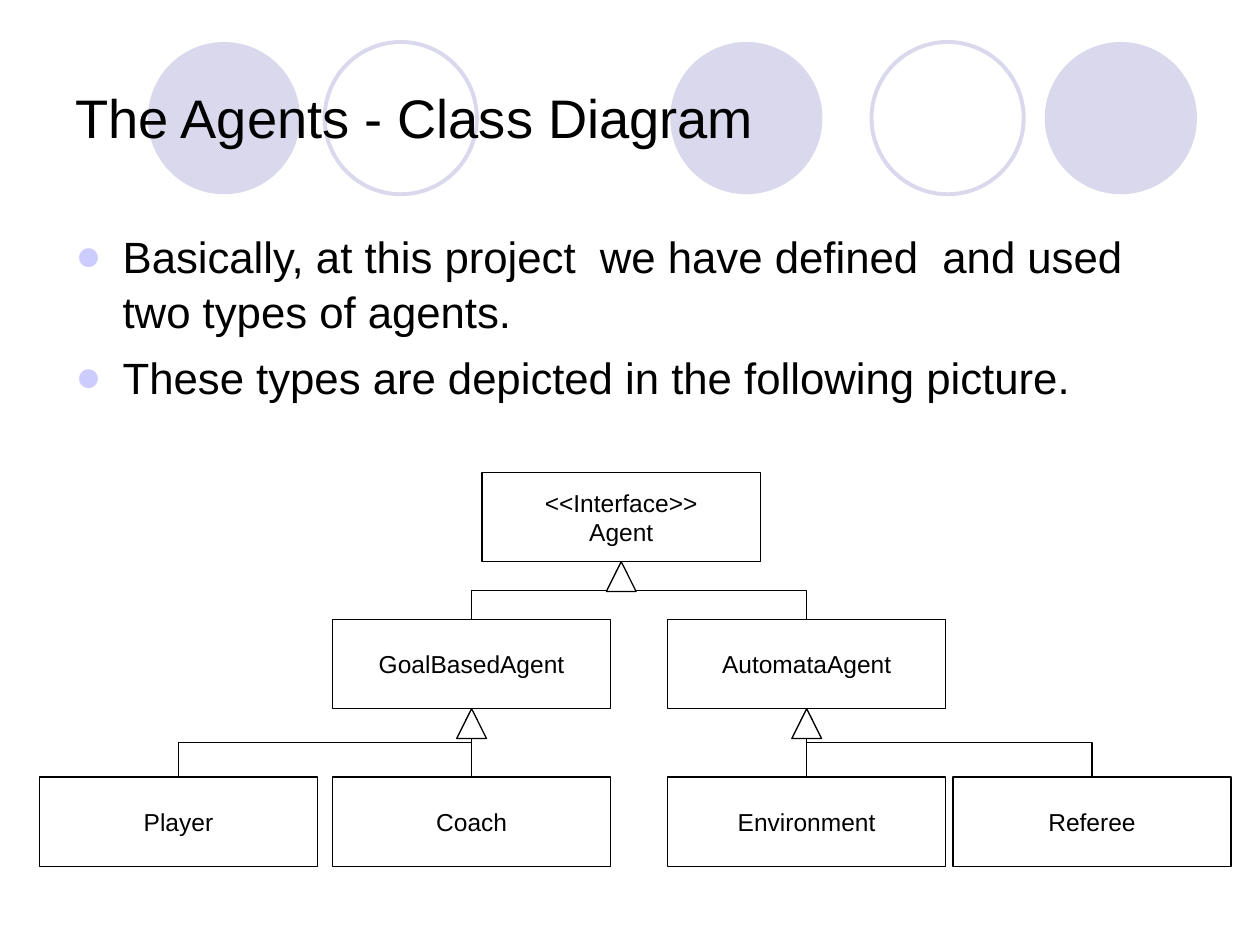
import pptx
import pptx.util
import pptx.dml.color
import pptx.enum.shapes
import pptx.enum.text
import pptx.oxml
import pptx.oxml.ns

Pt = pptx.util.Pt
KIND = pptx.enum.shapes.MSO_SHAPE
ELBOW = pptx.enum.shapes.MSO_CONNECTOR.ELBOW
ALIGN = pptx.enum.text.PP_ALIGN
ANCHOR = pptx.enum.text.MSO_ANCHOR

# Content
TITLE = "The Agents - Class Diagram"
POINTS = [
    "Basically, at this project  we have defined  and used two types of agents.",
    "These types are depicted in the following picture.",
]
# Class name: (lines, left, row, parent)
TREE = {
    "agent": (["<<Interface>>", "Agent"], 275.5, 0, None),
    "goal": (["GoalBasedAgent"], 190, 1, "agent"),
    "auto": (["AutomataAgent"], 381.5, 1, "agent"),
    "player": (["Player"], 22.5, 2, "goal"),
    "coach": (["Coach"], 190, 2, "goal"),
    "env": (["Environment"], 381.5, 2, "auto"),
    "ref": (["Referee"], 544.5, 2, "auto"),
}
# Circles behind the title: (left, filled)
CIRCLES = [(383, True), (597, True), (84.5, True), (498, False), (185.5, False)]

THEME = {
    "font": "Arial", "ink": "000000", "paper": "FFFFFF",
    "pale": "D9D8EC", "dot": "CCCCFF",
    "title": 31, "body": 25, "label": 14, "thin": 0.75, "ring": 2.25,
}
ROWS = [270, 354, 444]
WIDE, HIGH, TIP, DISC = 159, 51, 17, 87


def color(name):
    return pptx.dml.color.RGBColor.from_string(THEME[name])


def write(shape, lines, size, align=ALIGN.LEFT, anchor=ANCHOR.MIDDLE,
          wrap=True, bullet=None, gap=0, lead=None):
    frame = shape.text_frame
    frame.word_wrap = wrap
    frame.vertical_anchor = anchor
    for i, line in enumerate(lines):
        para = frame.paragraphs[0] if i == 0 else frame.add_paragraph()
        para.alignment = align
        if lead:
            para.line_spacing = lead
        if i and gap:
            para.space_before = Pt(gap)
        if bullet:
            props = para._p.get_or_add_pPr()
            props.set("marL", str(Pt(27)))
            props.set("indent", str(Pt(-27)))
            space = pptx.oxml.ns.nsdecls("a")
            for part in (
                f'<a:buClr {space}><a:srgbClr val="{THEME["dot"]}"/></a:buClr>',
                f'<a:buFont {space} typeface="{THEME["font"]}"/>',
                f'<a:buChar {space} char="{bullet}"/>',
            ):
                props.append(pptx.oxml.parse_xml(part))
        run = para.add_run()
        run.text = line
        run.font.name = THEME["font"]
        run.font.size = Pt(THEME[size])
        run.font.color.rgb = color("ink")


def draw(slide, kind, x, y, w, h, fill=None, line=None, weight="thin"):
    shape = slide.shapes.add_shape(kind, Pt(x), Pt(y), Pt(w), Pt(h))
    shape.shadow.inherit = False
    if fill:
        shape.fill.solid()
        shape.fill.fore_color.rgb = color(fill)
    else:
        shape.fill.background()
    if line:
        shape.line.color.rgb = color(line)
        shape.line.width = Pt(THEME[weight])
    else:
        shape.line.fill.background()
    return shape


def link(slide, x1, y1, x2, y2):
    """Elbow that leaves the child upward: a turned frame with swapped sides."""
    mid_x, mid_y = (x1 + x2) / 2, (y1 + y2) / 2
    side = 1 if x1 < x2 else -1
    dx, dy = side * (y1 - y2) / 2, abs(x2 - x1) / 2
    wire = slide.shapes.add_connector(
        ELBOW, Pt(mid_x + dx), Pt(mid_y + dy), Pt(mid_x - dx), Pt(mid_y - dy))
    wire.line.color.rgb = color("ink")
    wire.line.width = Pt(THEME["thin"])
    props = wire._element.spPr
    props.xfrm.set("rot", str((90 if side > 0 else 270) * 60000))
    space = pptx.oxml.ns.nsdecls("a")
    wire.line._get_or_add_ln().append(
        pptx.oxml.parse_xml(f'<a:tailEnd {space} type="arrow"/>'))
    props.append(pptx.oxml.parse_xml(f"<a:effectLst {space}/>"))


def main():
    deck = pptx.Presentation()
    deck.slide_width, deck.slide_height = Pt(720), Pt(540)
    slide = deck.slides.add_slide(deck.slide_layouts[6])

    # Circles
    for x, full in CIRCLES:
        draw(slide, KIND.OVAL, x, 24, DISC, DISC, fill="pale" if full else None,
             line=None if full else "pale", weight="ring")

    # Title and bullets
    head = slide.shapes.add_textbox(Pt(36), Pt(21.5), Pt(648), Pt(90))
    write(head, [TITLE], "title")
    body = slide.shapes.add_textbox(Pt(36), Pt(126), Pt(648), Pt(356))
    write(body, POINTS, "body", anchor=ANCHOR.TOP, bullet="●", gap=6.2, lead=1.05)

    # Class boxes
    for lines, x, row, _ in TREE.values():
        box = draw(slide, KIND.RECTANGLE, x, ROWS[row], WIDE, HIGH, "paper", "ink")
        write(box, lines, "label", align=ALIGN.CENTER, wrap=False)

    # Links from child to parent
    tips = {}
    for _, x, row, boss in TREE.values():
        if boss:
            _, left, level, _ = TREE[boss]
            tips[boss] = (left + WIDE / 2, ROWS[level] + HIGH)
            link(slide, x + WIDE / 2, ROWS[row], *tips[boss])

    # Hollow arrowheads under each parent
    for x, y in tips.values():
        draw(slide, KIND.ISOSCELES_TRIANGLE, x - TIP / 2, y, TIP, TIP, "paper", "ink")

    deck.save("out.pptx")


if __name__ == "__main__":
    main()
